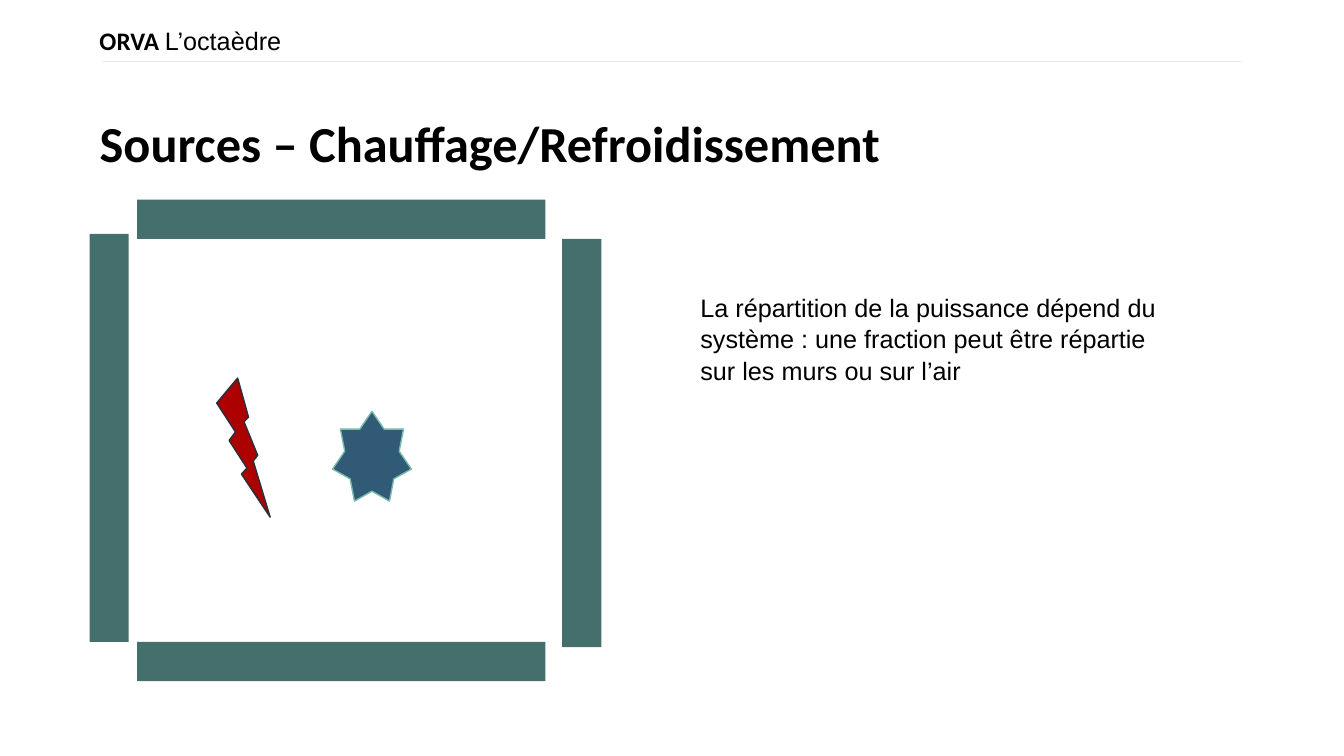
"""Build the slide on heating and cooling sources inside a room."""
import pptx
import pptx.util
import pptx.dml.color
import pptx.enum.shapes
import pptx.enum.text
import pptx.oxml

Pt = pptx.util.Pt
SHAPES = pptx.enum.shapes.MSO_SHAPE

COLORS = {
    "text": "000000", "rule": "E7E4E2", "wall": "456F6D",
    "heat": "AC0001", "heat_edge": "26313D",
    "cold": "305A75", "cold_edge": "75BAAB",
}

BRAND = {"name": "ORVA ", "lab": "L’octaèdre"}
TITLE = "Sources – Chauffage/Refroidissement"
NOTE = ("La répartition de la puissance dépend du système : une fraction "
        "peut être répartie sur les murs ou sur l’air")

BOLD = {"name": "Calibri", "bold": True}
PLAIN = {"name": "Arial", "bold": False}

BRAND_BOX = (64, 17.3, 364.3, 70.6)
TITLE_BOX = (64, 81.4, 780.5, 42.5)
NOTE_BOX = (493.2, 203.8, 346.3, 72.7)
RULE = (73.4, 43.9, 886.3, 43.9)

WALL_LENGTH, WALL_DEPTH = 291.6, 28
HORIZONTAL_WALLS = [(98, 142.6), (98, 458.6)]
VERTICAL_WALLS = [(64, 167), (401.6, 170.6)]

SOURCES = [
    (SHAPES.LIGHTNING_BOLT, (154.8, 270, 38.2, 99.4), "heat", "heat_edge"),
    (SHAPES.STAR_7_POINT, (237.6, 293.8, 56.2, 64.1), "cold", "cold_edge"),
]


def color(name):
    return pptx.dml.color.RGBColor.from_string(COLORS[name])


def write(shape, runs, size, spacing):
    frame = shape.text_frame
    layout = {"word_wrap": True,
              "auto_size": pptx.enum.text.MSO_AUTO_SIZE.NONE,
              "vertical_anchor": pptx.enum.text.MSO_ANCHOR.TOP,
              "margin_left": Pt(7.2), "margin_right": Pt(7.2),
              "margin_top": Pt(3.6), "margin_bottom": Pt(3.6)}
    for key, value in layout.items():
        setattr(frame, key, value)
    paragraph = frame.paragraphs[0]
    flow = {"alignment": pptx.enum.text.PP_ALIGN.LEFT,
            "line_spacing": spacing, "space_before": Pt(0)}
    for key, value in flow.items():
        setattr(paragraph, key, value)
    for text, style in runs:
        run = paragraph.add_run()
        run.text = text
        for key, value in {**style, "size": Pt(size)}.items():
            setattr(run.font, key, value)
        run.font.color.rgb = color("text")


def add_figure(slide, kind, box, fill, edge=None):
    figure = slide.shapes.add_shape(kind, *map(Pt, box))
    figure.shadow.inherit = False
    figure.fill.solid()
    figure.fill.fore_color.rgb = color(fill)
    if edge:
        figure.line.color.rgb = color(edge)
        figure.line.width = Pt(1)
    else:
        figure.line.fill.background()


def add_rule(slide):
    rule = slide.shapes.add_connector(
        pptx.enum.shapes.MSO_CONNECTOR.STRAIGHT, *map(Pt, RULE))
    rule.line.color.rgb = color("rule")
    rule.line.width = Pt(0.5)
    properties = rule._element.spPr
    properties.append(pptx.oxml.parse_xml(
        '<a:effectLst xmlns:a='
        '"http://schemas.openxmlformats.org/drawingml/2006/main"/>'))


def main():
    deck = pptx.Presentation()
    deck.slide_width, deck.slide_height = Pt(960), Pt(540)
    slide = deck.slides.add_slide(deck.slide_layouts[5])

    brand = slide.shapes.add_textbox(*map(Pt, BRAND_BOX))
    write(brand, [(BRAND["name"], BOLD), (BRAND["lab"], PLAIN)], 18, 0.9)

    title = slide.shapes.title
    title.left, title.top, title.width, title.height = map(Pt, TITLE_BOX)
    write(title, [(TITLE, BOLD)], 36, 0.9)

    add_rule(slide)
    note = slide.shapes.add_textbox(*map(Pt, NOTE_BOX))
    write(note, [(NOTE, PLAIN)], 18, 1.05)

    walls = [(*corner, WALL_LENGTH, WALL_DEPTH) for corner in HORIZONTAL_WALLS]
    walls += [(*corner, WALL_DEPTH, WALL_LENGTH) for corner in VERTICAL_WALLS]
    for wall in walls:
        add_figure(slide, SHAPES.RECTANGLE, wall, "wall")
    for source in SOURCES:
        add_figure(slide, *source)

    deck.save("out.pptx")


if __name__ == "__main__":
    main()
